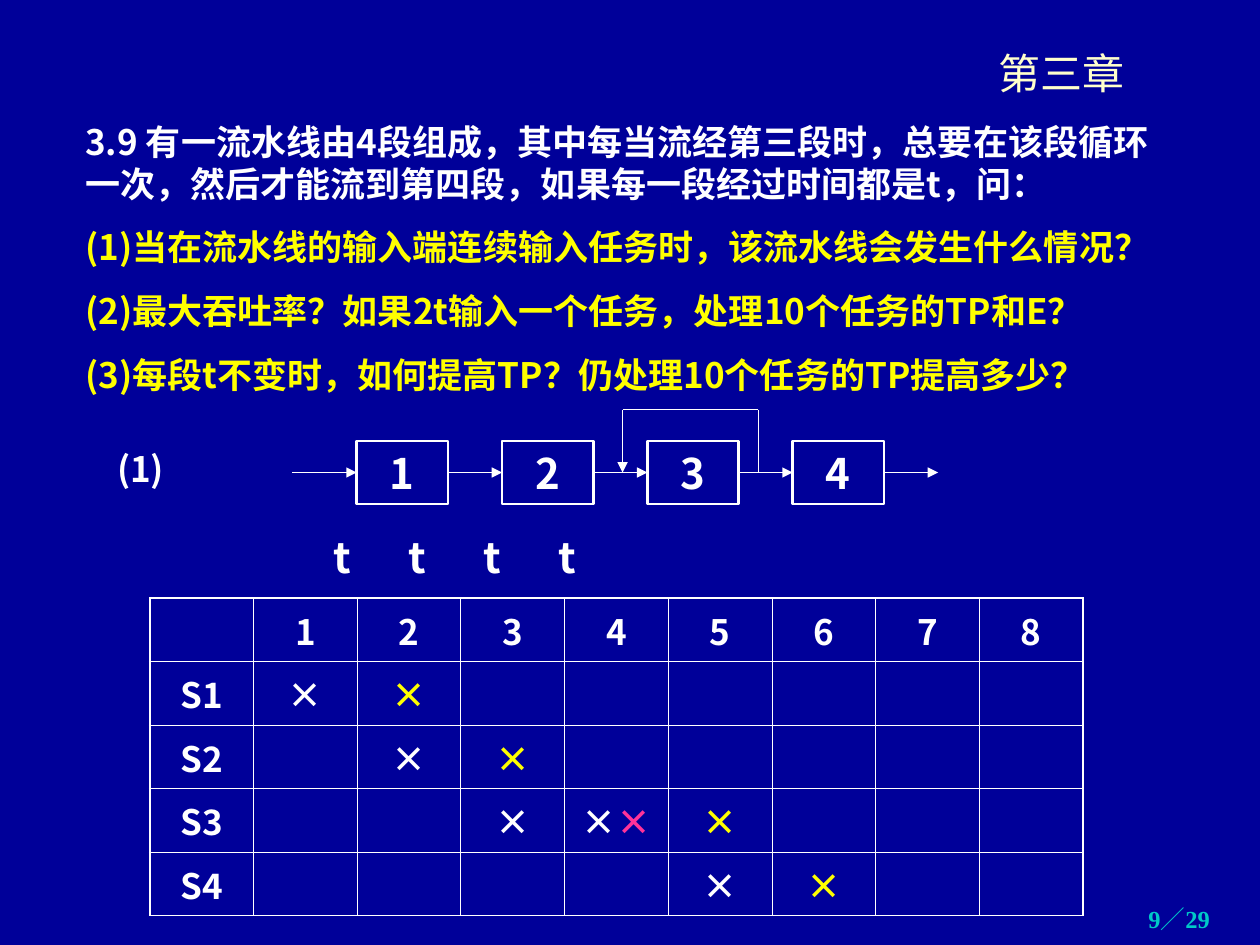
from dataclasses import dataclass

from lxml import etree
from pptx import Presentation
from pptx.dml.color import RGBColor
from pptx.enum import shapes, text
from pptx.oxml import ns
from pptx.util import Cm, Pt


@dataclass(frozen=True)
class Theme:
    navy: str = "000099"
    white: str = "FFFFFF"
    yellow: str = "FFFF00"
    cream: str = "FFFFCC"
    pink: str = "FF3399"
    teal: str = "00C8C8"
    sans: str = "Noto Sans CJK SC"
    serif: str = "Times New Roman"
    big: int = 24
    body: int = 20
    small: int = 14


T = Theme()
LEFT, MID, RIGHT = text.PP_ALIGN.LEFT, text.PP_ALIGN.CENTER, text.PP_ALIGN.RIGHT
TOP, CENTER, BOTTOM = (text.MSO_ANCHOR.TOP, text.MSO_ANCHOR.MIDDLE,
                       text.MSO_ANCHOR.BOTTOM)

TASK = [
    ("3.9 有一流水线由4段组成，其中每当流经第三段时，总要在该段循环一次，"
     "然后才能流到第四段，如果每一段经过时间都是t，问：", T.white),
    ("(1)当在流水线的输入端连续输入任务时，该流水线会发生什么情况？", T.yellow),
    ("(2)最大吞吐率？如果2t输入一个任务，处理10个任务的TP和E？", T.yellow),
    ("(3)每段t不变时，如何提高TP？仍处理10个任务的TP提高多少？", T.yellow),
]
# Stage row, clock column, colours of the marks
MARKS = [
    (1, 1, [T.white]), (1, 2, [T.yellow]),
    (2, 2, [T.white]), (2, 3, [T.yellow]),
    (3, 3, [T.white]), (3, 4, [T.white, T.pink]), (3, 5, [T.yellow]),
    (4, 5, [T.white]), (4, 6, [T.yellow]),
]


def add_sub(parent, tag, **attrs):
    return etree.SubElement(parent, ns.qn(tag), **attrs)


def write(para, words, color=T.white, size=T.body, font=T.sans, bold=True,
          align=LEFT, before=0):
    """Add one formatted run to a paragraph."""
    para.alignment = align
    para.space_before = Pt(before)
    run = para.add_run()
    run.text = words
    run.font.size, run.font.bold, run.font.name = Pt(size), bold, font
    run.font.color.rgb = RGBColor.from_string(color)
    add_sub(run.font._element, "a:ea", typeface=font)


def set_frame(shape, anchor=TOP):
    frame = shape.text_frame
    frame.word_wrap = True
    frame.auto_size = text.MSO_AUTO_SIZE.NONE
    frame.vertical_anchor = anchor
    frame.margin_left = frame.margin_right = Cm(0.25)
    frame.margin_top = frame.margin_bottom = Cm(0.13)
    return frame


def add_text(slide, x, y, w, h, anchor=TOP):
    box = slide.shapes.add_textbox(Cm(x), Cm(y), Cm(w), Cm(h))
    return set_frame(box, anchor)


def add_title(slide):
    title = slide.shapes.title
    title.left, title.top = Cm(17.58), Cm(0.84)
    title.width, title.height = Cm(7.62), Cm(1.27)
    write(set_frame(title, CENTER).paragraphs[0], "第三章", color=T.cream,
          size=T.big, bold=False, align=MID)


def add_task(slide):
    frame = add_text(slide, 1.47, 2.29, 22.43, 5.82)
    for i, (words, color) in enumerate(TASK):
        para = frame.add_paragraph() if i else frame.paragraphs[0]
        para.line_spacing = Pt(T.body * 1.2)
        write(para, words, color=color, before=12.5 if i else 0)


def add_stage(slide, name, x, y, w, h):
    box = slide.shapes.add_shape(shapes.MSO_SHAPE.RECTANGLE,
                                 Cm(x), Cm(y), Cm(w), Cm(h))
    box.shadow.inherit = False
    box.fill.background()
    box.line.color.rgb = RGBColor.from_string(T.white)
    box.line.width = Pt(1.5)
    write(set_frame(box, CENTER).paragraphs[0], name, size=T.big, align=MID)
    return box


def add_line(slide, x1, y1, x2, y2, head=True, start=None, end=None):
    """Draw a line, joined to the right of start and the left of end."""
    line = slide.shapes.add_connector(shapes.MSO_CONNECTOR.STRAIGHT,
                                      Cm(x1), Cm(y1), Cm(x2), Cm(y2))
    line.line.color.rgb = RGBColor.from_string(T.white)
    line.line.width = Pt(0.75)
    if head:
        add_sub(line.line._get_or_add_ln(), "a:tailEnd", type="triangle")
    add_sub(line._element.spPr, "a:effectLst")
    if start:
        line.begin_connect(start, 3)
    if end:
        line.end_connect(end, 1)


def add_flow(slide):
    x, y, w, h, step = 7.19, 8.89, 1.84, 1.27, 2.93
    mid, roof = y + h / 2, 8.26
    boxes = [add_stage(slide, str(i + 1), x + i * step, y, w, h)
             for i in range(4)]
    add_line(slide, 5.89, mid, x, mid, end=boxes[0])
    for i, box in enumerate(boxes):
        right = x + i * step + w
        after = boxes[i + 1] if i < 3 else None
        add_line(slide, right, mid, right + step - w, mid,
                 start=box, end=after)
    out, back = 15.29, 12.55
    add_line(slide, out, mid, out, roof, head=False)
    add_line(slide, out, roof, back, roof, head=False)
    add_line(slide, back, roof, back, mid)


def add_times(slide):
    para = add_text(slide, 5.72, 10.59, 13.77, 1.27, CENTER).paragraphs[0]
    tabs = add_sub(para._p.get_or_add_pPr(), "a:tabLst")
    for i in range(4):
        add_sub(tabs, "a:tab", pos=str(Cm(0.76 + 1.51 * i)), algn="l")
    write(para, "\tt" * 4, size=T.big)


def set_edges(cell, thick):
    """Draw the four borders, heavier on the sides named in thick."""
    props = cell._tc.get_or_add_tcPr()
    for i, side in enumerate("LRTB"):
        width = Pt(1.08 if side in thick else 0.45)
        edge = etree.Element(ns.qn(f"a:ln{side}"), w=str(width))
        add_sub(add_sub(edge, "a:solidFill"), "a:srgbClr", val=T.white)
        props.insert(i, edge)


def add_grid(slide):
    rows, cols, w, h = 5, 9, 2.09, 1.27
    table = slide.shapes.add_table(rows, cols, Cm(3.02), Cm(12.06),
                                   Cm(cols * w), Cm(rows * h)).table
    table.first_row = table.horz_banding = False
    for row in table.rows:
        row.height = Cm(h)
    for col in table.columns:
        col.width = Cm(w)
    for r in range(rows):
        for c in range(cols):
            cell = table.cell(r, c)
            cell.fill.background()
            cell.vertical_anchor = CENTER
            sides = {"L": c == 0, "R": c == cols - 1,
                     "T": r == 0, "B": r == rows - 1}
            set_edges(cell, [s for s, outer in sides.items() if outer])
    heads = [(0, c, str(c)) for c in range(1, cols)]
    heads += [(r, 0, f"S{r}") for r in range(1, rows)]
    for r, c, words in heads:
        write(table.cell(r, c).text_frame.paragraphs[0], words, align=MID)
    for r, c, colors in MARKS:
        for color in colors:
            write(table.cell(r, c).text_frame.paragraphs[0], "×",
                  color=color, align=MID)


def main():
    deck = Presentation()
    deck.slide_width, deck.slide_height = Cm(25.4), Cm(19.05)
    slide = deck.slides.add_slide(deck.slide_layouts[5])
    slide.background.fill.solid()
    slide.background.fill.fore_color.rgb = RGBColor.from_string(T.navy)
    page = add_text(slide, 21.01, 18.06, 3.63, 0.89, BOTTOM)
    write(page.paragraphs[0], "9／29", color=T.teal, size=T.small,
          font=T.serif, align=RIGHT)
    add_task(slide)
    add_flow(slide)
    add_times(slide)
    add_grid(slide)
    label = add_text(slide, 2.11, 8.89, 1.91, 1.12, CENTER)
    write(label.paragraphs[0], "(1)")
    add_title(slide)
    deck.save("out.pptx")


if __name__ == "__main__":
    main()
